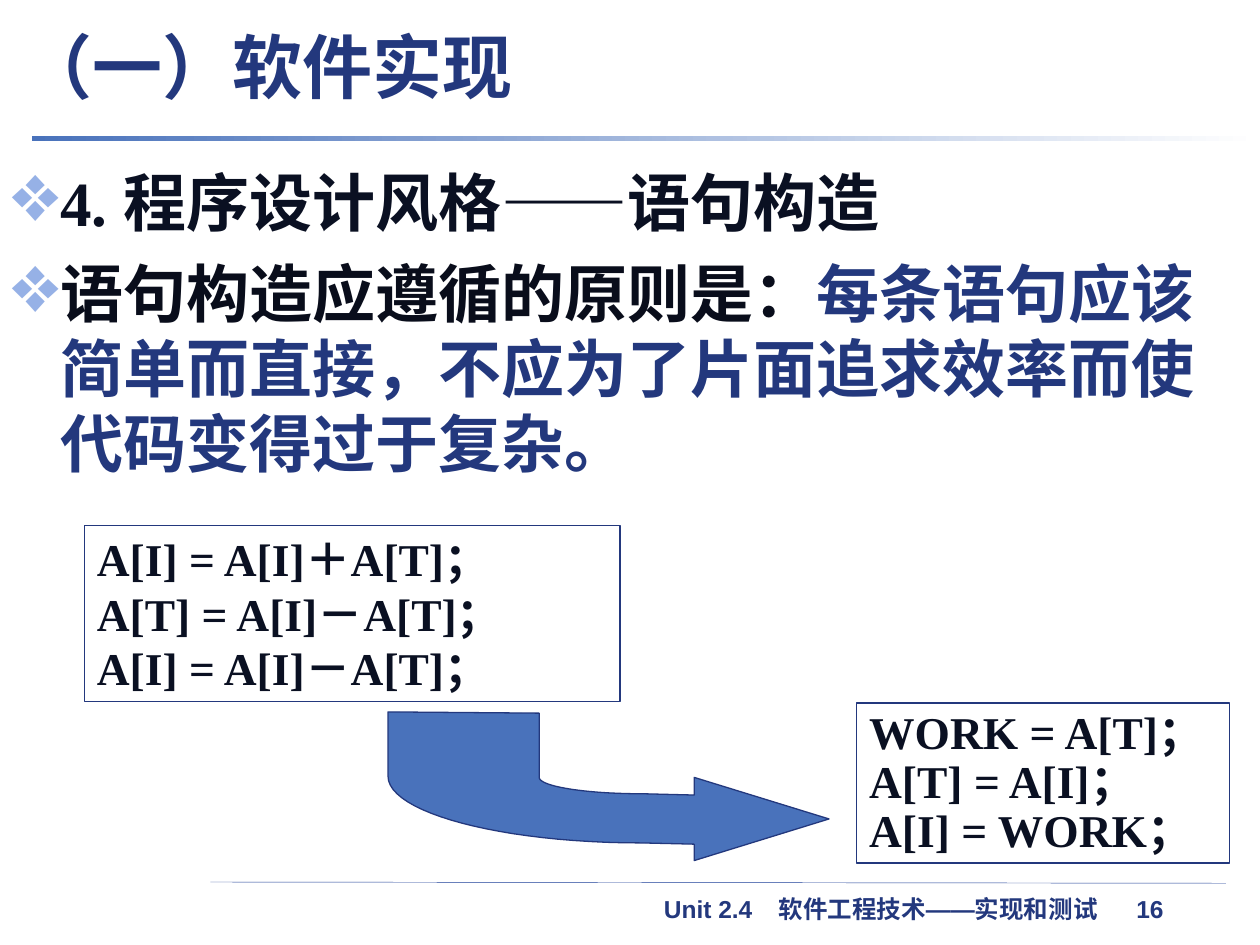
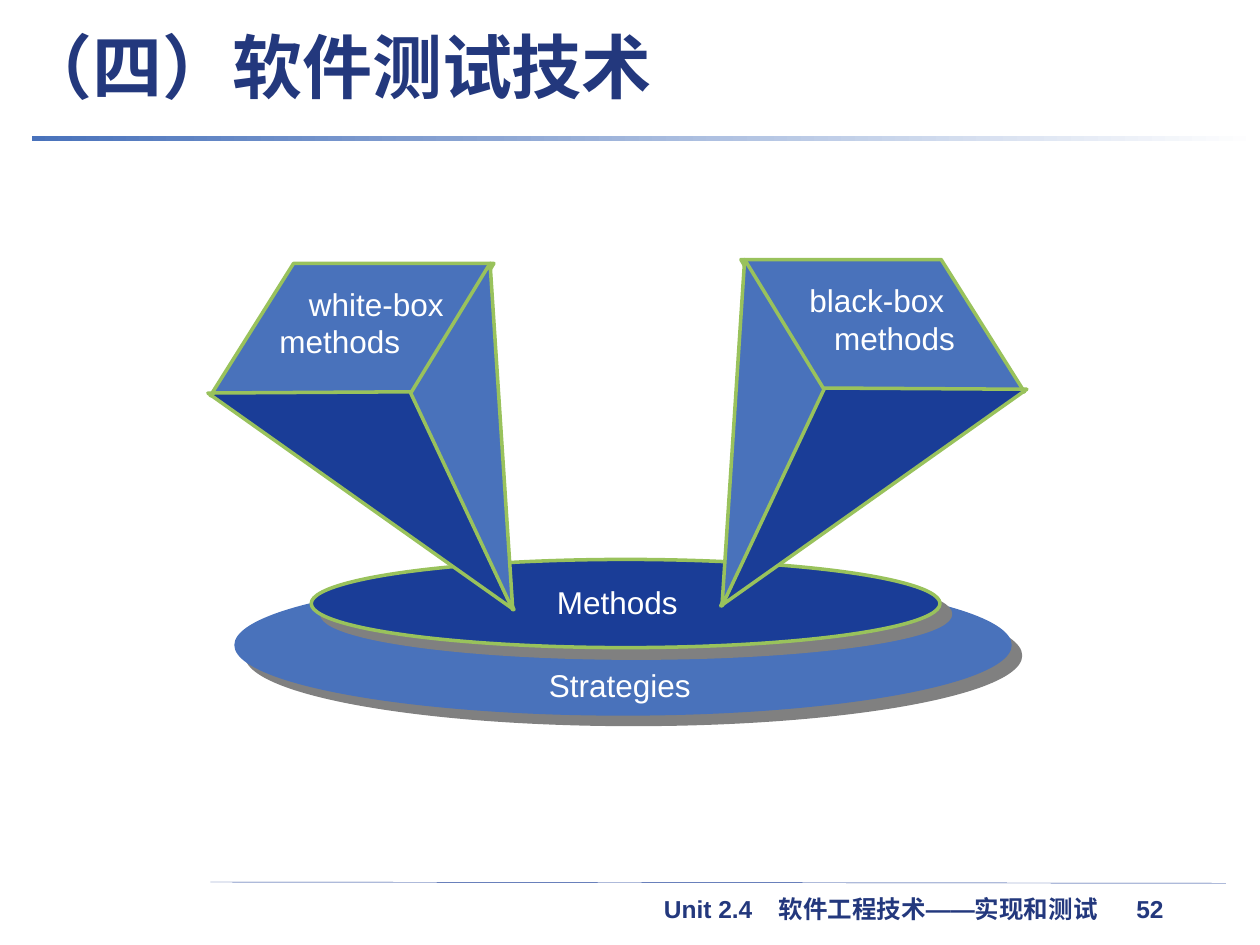
"""Build two slides on statement style and software testing methods."""
from lxml import etree
from pptx import Presentation
from pptx.dml.color import RGBColor
from pptx.enum.shapes import MSO_CONNECTOR, MSO_SHAPE
from pptx.enum.text import MSO_ANCHOR, PP_ALIGN
from pptx.oxml.ns import qn
from pptx.util import Inches, Pt

COLORS = {
    "navy": "23387D", "deep": "1A3D97", "blue": "4972BB", "bullet": "96B1E6",
    "ink": "0A1022", "black": "090D1B", "green": "99C25C", "gray": "808080",
    "white": "FFFFFF",
}
RGB = {name: RGBColor.from_string(value) for name, value in COLORS.items()}
SANS, SERIF, CJK = "Arial", "Times New Roman", "Noto Sans CJK SC"


def write(shape, text, size, font, color, bold=False, wrap=True):
    frame = shape.text_frame
    frame.text = text
    frame.word_wrap = wrap
    frame.vertical_anchor = MSO_ANCHOR.TOP
    for paragraph in frame.paragraphs:
        paragraph.alignment = PP_ALIGN.LEFT
        for run in paragraph.runs:
            run.font.size = Pt(size)
            run.font.bold = bold
            run.font.color.rgb = RGB[color]
            run.font.name = font
            etree.SubElement(run.font._element, qn("a:ea"), typeface=CJK if font == SERIF else font)
    return frame


def outline(shapes, points, fill, line, width, close):
    corners = [(Inches(x), Inches(y)) for x, y in points]
    builder = shapes.build_freeform(*corners[0])
    builder.add_line_segments(corners[1:], close=close)
    shape = builder.convert_to_shape()
    shape.shadow.inherit = False
    shape.fill.solid()
    shape.fill.fore_color.rgb = RGB[fill]
    shape.line.color.rgb = RGB[line]
    shape.line.width = Pt(width)
    return shape


prs = Presentation()
prs.slide_width, prs.slide_height = Inches(10), Inches(7.5)

slides = []
for heading, heading_font, number in [("（一）软件实现", CJK, 16), ("（四）软件测试技术", SANS, 52)]:
    slide = prs.slides.add_slide(prs.slide_layouts[6])
    slides.append(slide)

    footer_rule = slide.shapes.add_connector(
        MSO_CONNECTOR.STRAIGHT, Inches(1.67), Inches(7), Inches(9.73), Inches(7.01))
    footer_rule.line.color.rgb = RGB["deep"]
    footer_rule.line.width = Pt(0.25)
    etree.SubElement(footer_rule._element.spPr, qn("a:effectLst"))

    footer = slide.shapes.add_textbox(Inches(5.17), Inches(7.05), Inches(4.58), Inches(0.34))
    footer_text = write(footer, f"Unit 2.4\t软件工程技术——实现和测试\t{number}", 14, SANS, "navy", True)
    tabs = etree.SubElement(footer_text.paragraphs[0]._p.get_or_add_pPr(), qn("a:tabLst"))
    for stop in (0.91, 3.75):
        etree.SubElement(tabs, qn("a:tab"), pos=str(Inches(stop)), algn="l")

    band = slide.shapes.add_shape(
        MSO_SHAPE.RECTANGLE, Inches(0.25), Inches(1.08), Inches(9.75), Inches(0.04))
    band.shadow.inherit = False
    band.line.fill.background()
    band.fill.gradient()
    band.fill.gradient_angle = 0
    for stop, color in zip(band.fill.gradient_stops, ("blue", "white")):
        stop.color.rgb = RGB[color]

    title = slide.shapes.add_textbox(Inches(0.08), Inches(0.12), Inches(9.42), Inches(0.8))
    write(title, heading, 40, heading_font, "navy", True).vertical_anchor = MSO_ANCHOR.MIDDLE

style_slide, testing_slide = slides

principles = style_slide.shapes.add_textbox(Inches(0), Inches(1.25), Inches(9.75), Inches(5.92))
principles_text = write(
    principles, "4. 程序设计风格——语句构造\n语句构造应遵循的原则是：", 36, SERIF, "ink", True)
heading_line, principle = principles_text.paragraphs
principle.runs[0].font.color.rgb = RGB["black"]
rule = principle.add_run()
rule.text = "每条语句应该简单而直接，不应为了片面追求效率而使代码变得过于复杂。"
rule.font.size = Pt(36)
rule.font.bold = True
rule.font.color.rgb = RGB["navy"]
rule.font.name = SERIF
etree.SubElement(rule.font._element, qn("a:ea"), typeface=CJK)
for paragraph in (heading_line, principle):
    paragraph.line_spacing = Pt(43)
    properties = paragraph._p.get_or_add_pPr()
    properties.set("marL", str(Inches(0.38)))
    properties.set("indent", str(-Inches(0.38)))
    bullet_color = etree.SubElement(properties, qn("a:buClr"))
    etree.SubElement(bullet_color, qn("a:srgbClr"), val=COLORS["bullet"])
    etree.SubElement(properties, qn("a:buSzPct"), val="130000")
    etree.SubElement(properties, qn("a:buChar"), char="❖")
principle.space_before = Pt(9)

for left, top, width, height, pitch, code in [
    (0.67, 4.17, 4.25, 1.4, 31, "A[I] = A[I]＋A[T]；\vA[T] = A[I]－A[T]；\vA[I] = A[I]－A[T]；"),
    (6.8, 5.58, 2.96, 1.27, 28, "WORK = A[T]；\vA[T] = A[I]；\vA[I] = WORK；"),
]:
    listing = style_slide.shapes.add_shape(
        MSO_SHAPE.RECTANGLE, Inches(left), Inches(top), Inches(width), Inches(height))
    listing.shadow.inherit = False
    listing.fill.background()
    listing.line.color.rgb = RGB["navy"]
    listing.line.width = Pt(0.75)
    write(listing, code, 26, SERIF, "ink", True).paragraphs[0].line_spacing = Pt(pitch)

bends = []
for a, b, c, d in [
    ((5.09, 6.69), (3.98, 6.69), (3.08, 6.45), (3.08, 6.16)),
    ((4.28, 6.17), (4.28, 6.24), (4.64, 6.3), (5.1, 6.3)),
]:
    steps = [i / 24 for i in range(25)]
    bends.append([
        tuple((1 - t) ** 3 * p + 3 * (1 - t) ** 2 * t * q + 3 * (1 - t) * t ** 2 * r + t ** 3 * s
              for p, q, r, s in zip(a, b, c, d))
        for t in steps])
outer_bend, inner_bend = bends
arrow = [(6.58, 6.5), (5.51, 6.83), (5.51, 6.7), *outer_bend, (3.08, 5.65), (4.28, 5.66),
         *inner_bend, (5.51, 6.31), (5.51, 6.17)]
outline(style_slide.shapes, arrow, "blue", "navy", 0.75, True)

for left, top, width, height, fill, edge in [
    (1.86, 4.56, 6.17, 1.12, "blue", None),
    (2.47, 4.44, 4.99, 0.7, "deep", "green"),
]:
    disc = testing_slide.shapes.add_shape(
        MSO_SHAPE.OVAL, Inches(left), Inches(top), Inches(width), Inches(height))
    disc.fill.solid()
    disc.fill.fore_color.rgb = RGB[fill]
    if edge:
        disc.line.color.rgb = RGB[edge]
        disc.line.width = Pt(2)
    else:
        disc.line.fill.background()
    disc.shadow.inherit = False
    shadow = etree.SubElement(
        disc._element.spPr.find(qn("a:effectLst")), qn("a:outerShdw"),
        dist=str(Pt(8.5)), dir="2700000", algn="ctr", rotWithShape="0")
    etree.SubElement(shadow, qn("a:srgbClr"), val=COLORS["gray"])

pyramid_faces = [
    ("blue", [(3.92, 2.09), (2.33, 2.09), (1.67, 3.14), (3.29, 3.14), (3.92, 2.09)]),
    ("deep", [(1.65, 3.12), (4.08, 4.84), (3.26, 3.11), (1.65, 3.12)]),
    ("blue", [(4.07, 4.84), (3.26, 3.12), (3.89, 2.09), (4.07, 4.84)]),
]
for origin, direction, lift in [(0, 1, 0), (9.8, -1, 0.03)]:
    pyramid = testing_slide.shapes.add_group_shape()
    for fill, corners in pyramid_faces:
        points = [(origin + direction * x, y - lift) for x, y in corners]
        face = outline(pyramid.shapes, points, fill, "green", 2, False)
        etree.SubElement(face._element.spPr.find(qn("a:ln")), qn("a:tailEnd"), type="triangle")

left_align, center, right_align = PP_ALIGN.LEFT, PP_ALIGN.CENTER, PP_ALIGN.RIGHT
for left, top, width, height, text, alignments, wrap in [
    (4.3, 4.58, 1.2, 0.4, "Methods", [center], False),
    (4.22, 5.24, 1.4, 0.4, "Strategies", [center], False),
    (2.12, 2.21, 1.5, 1, "white-box\nmethods", [right_align, left_align], True),
    (6.21, 2.18, 1.5, 0.7, "black-box\nmethods", [center, center], True),
]:
    label = testing_slide.shapes.add_textbox(
        Inches(left), Inches(top), Inches(width), Inches(height))
    label_text = write(label, text, 18, SANS, "white", wrap=wrap)
    for paragraph, alignment in zip(label_text.paragraphs, alignments):
        paragraph.alignment = alignment
label_text.paragraphs[1]._p.get_or_add_pPr().set("marL", str(Inches(0.28)))

prs.save("out.pptx")
